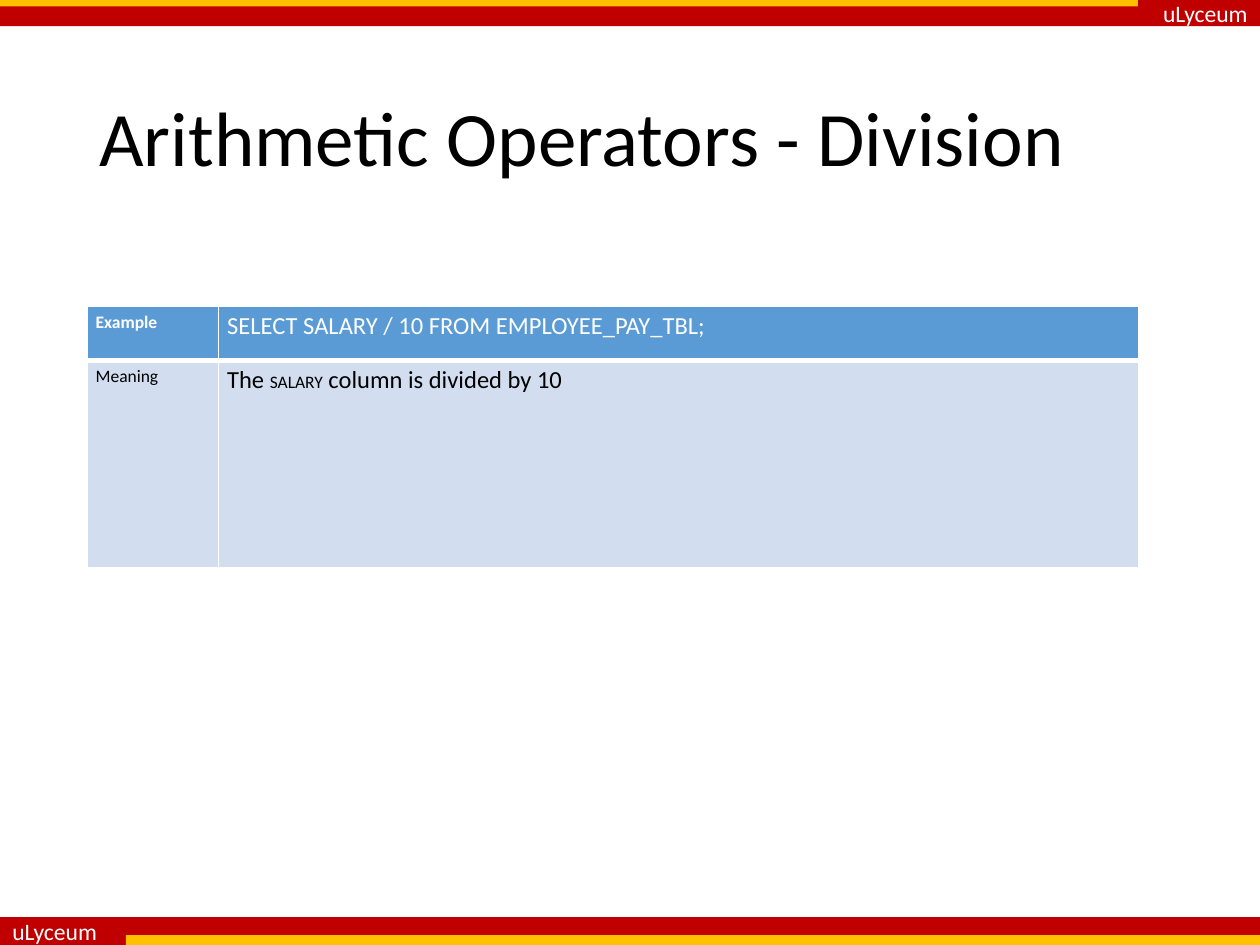
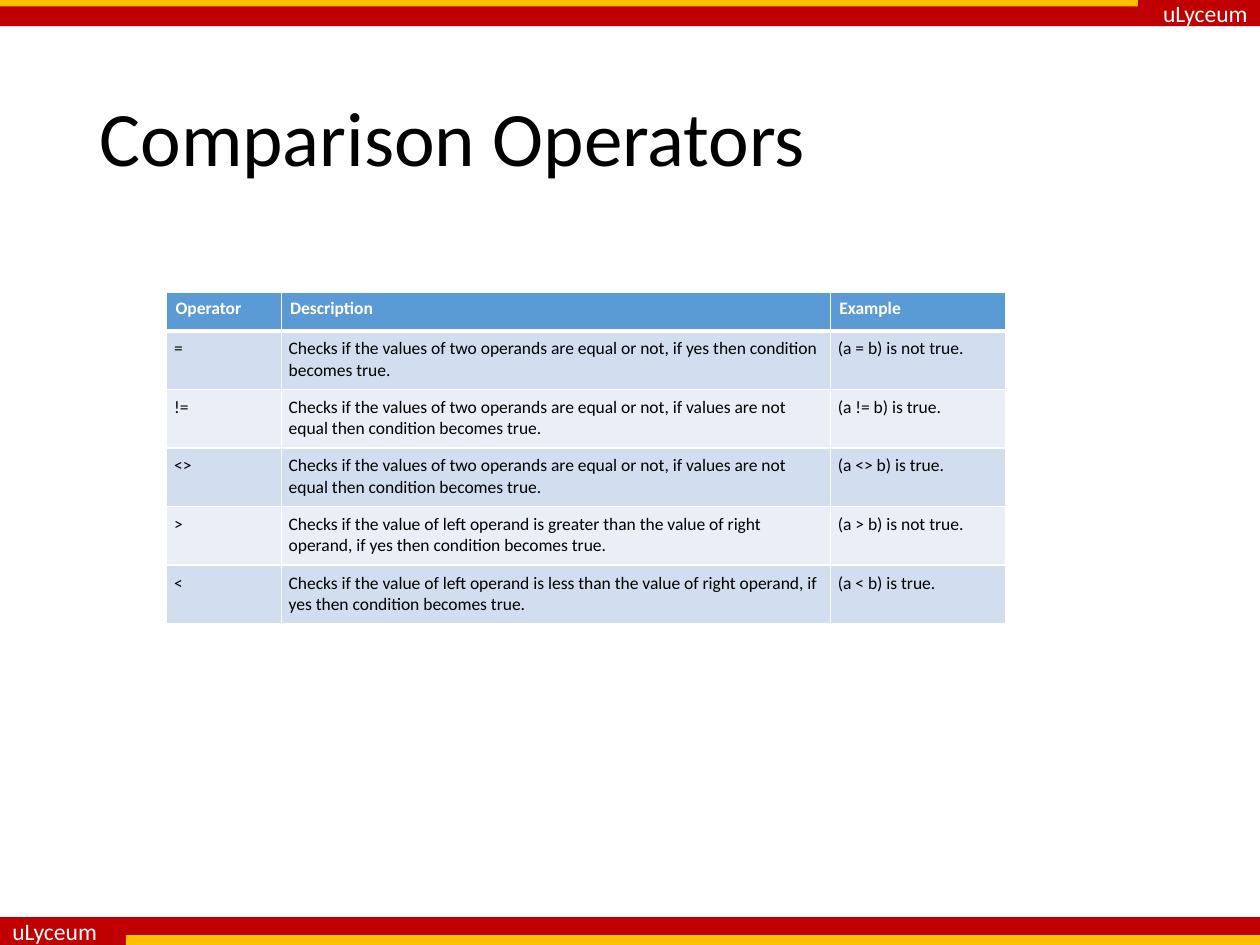
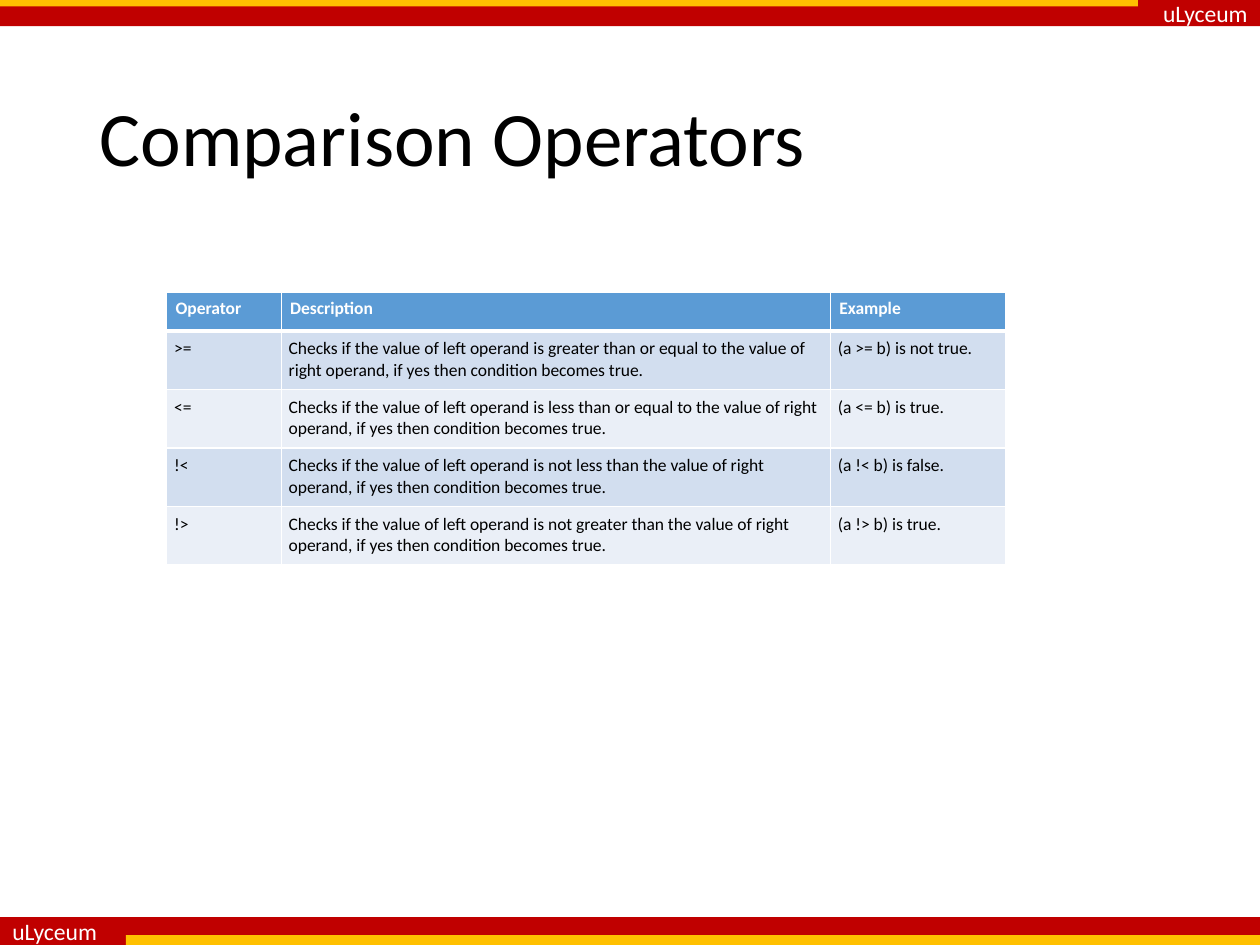
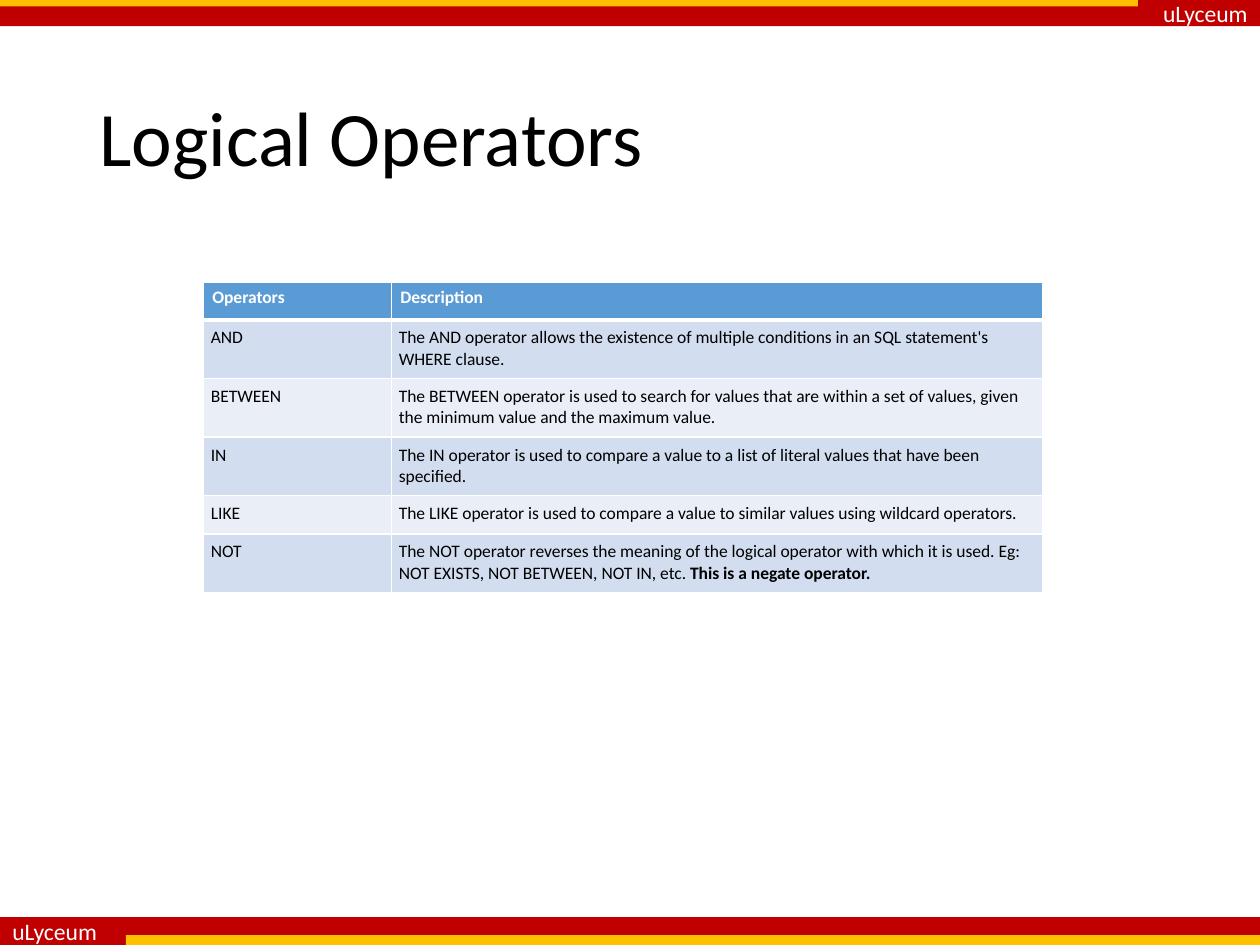
from dataclasses import dataclass

from lxml.etree import SubElement as Sub
from pptx import Presentation
from pptx.dml.color import RGBColor as Rgb
from pptx.enum.shapes import MSO_SHAPE as Shape
from pptx.enum.text import MSO_ANCHOR as Anchor, PP_ALIGN as Align
from pptx.oxml.ns import qn
from pptx.slide import Slide
from pptx.table import _Cell as Cell
from pptx.text.text import _Paragraph as Para
from pptx.util import Cm, Pt

FONT = "Calibri"
BRAND = "uLyceum"
COLORS = {
    "red": "C00000", "gold": "FFC000", "white": "FFFFFF", "black": "000000",
    "head": "5B9BD5", "odd": "D2DEEF", "even": "EAEFF7",
}
WIDE, HIGH = 25.4, 19.05
HEAD, TALL, SHORT = 0.77, 1.18, 0.77


@dataclass
class Band:
    left: float
    top: float
    width: float
    height: float
    color: str
    text: str = ""
    align: Align = Align.LEFT


@dataclass
class Run:
    text: str
    size: float = 10
    bold: bool = False


@dataclass
class Grid:
    left: float
    top: float
    cols: list[float]
    rows: list[float]
    cells: list[list[str | list[Run]]]
    inset: tuple[float, float] = (0.15, 0.15)


@dataclass
class Page:
    title: str
    grid: Grid


BANDS = [
    Band(0, 0, WIDE, 0.53, "red", BRAND, Align.RIGHT),
    Band(0, 18.49, WIDE, 0.56, "red", BRAND),
    Band(0, 0, 22.94, 0.13, "gold"),
    Band(2.54, 18.85, 22.86, 0.2, "gold"),
]

IF_YES = "if yes then condition becomes true."
EQUAL = "Checks if the values of two operands are equal or not,"
UNLIKE = f"{EQUAL} if values are not equal then condition becomes true."


def left_is(test: str) -> str:
    return f"Checks if the value of left operand is {test} the value of right operand, {IF_YES}"


def compare(*rows: list[str]) -> Page:
    """Page with a table of comparison operators."""
    cells = [["Operator", "Description", "Example"], *rows]
    grid = Grid(3.36, 5.9, [2.31, 11.07, 3.53], [HEAD] + [TALL] * len(rows), cells)
    return Page("Comparison Operators", grid)


PAGES = [
    Page("Arithmetic Operators - Division", Grid(
        1.75, 6.18, [2.65, 18.56], [1.09, 4.17],
        [
            ["Example", [Run("SELECT SALARY / 10 FROM EMPLOYEE_PAY_TBL;", 14)]],
            ["Meaning", [Run("The ", 14), Run("SALARY"),
                         Run(" column is divided by 10", 14)]],
        ],
        inset=(0.18, 0.1),
    )),
    compare(
        ["=", f"{EQUAL} {IF_YES}", "(a = b) is not true."],
        ["!=", UNLIKE, "(a != b) is true."],
        ["<>", UNLIKE, "(a <> b) is true."],
        [">", left_is("greater than"), "(a > b) is not true."],
        ["<", left_is("less than"), "(a < b) is true."],
    ),
    compare(
        [">=", left_is("greater than or equal to"), "(a >= b) is not true."],
        ["<=", left_is("less than or equal to"), "(a <= b) is true."],
        ["!<", left_is("not less than"), "(a !< b) is false."],
        ["!>", left_is("not greater than"), "(a !> b) is true."],
    ),
    Page("Logical Operators", Grid(
        4.1, 5.68, [3.79, 13.14], [HEAD, TALL, TALL, TALL, SHORT, TALL],
        [
            ["Operators", "Description"],
            ["AND", "The AND operator allows the existence of multiple conditions "
                    "in an SQL statement's WHERE clause."],
            ["BETWEEN", "The BETWEEN operator is used to search for values that are within "
                        "a set of values, given the minimum value and the maximum value."],
            ["IN", "The IN operator is used to compare a value to a list of "
                   "literal values that have been specified."],
            ["LIKE", "The LIKE operator is used to compare a value to similar values "
                     "using wildcard operators."],
            ["NOT", [Run("The NOT operator reverses the meaning of the logical operator with "
                         "which it is used. Eg: NOT EXISTS, NOT BETWEEN, NOT IN, etc. "),
                     Run("This is a negate operator.", bold=True)]],
        ],
    )),
]


def color(name: str) -> Rgb:
    return Rgb.from_string(COLORS[name])


def style(para: Para, size: float, tint: str, bold: bool = False) -> None:
    font = para.font
    font.name, font.size, font.bold = FONT, Pt(size), bold
    font.color.rgb = color(tint)


def draw_band(slide: Slide, band: Band) -> None:
    """Draw a band and move it to the slide master."""
    shape = slide.shapes.add_shape(
        Shape.RECTANGLE, Cm(band.left), Cm(band.top), Cm(band.width), Cm(band.height))
    shape.shadow.inherit = False
    shape.fill.solid()
    shape.fill.fore_color.rgb = color(band.color)
    shape.line.fill.background()
    if band.text:
        frame = shape.text_frame
        frame.word_wrap = False
        frame.vertical_anchor = Anchor.MIDDLE
        para = frame.paragraphs[0]
        para.text, para.alignment = band.text, band.align
        style(para, 13.5, "white")
    master = slide.slide_layout.slide_master
    master.element.cSld.spTree.append(shape.element)


def draw_title(slide: Slide, text: str) -> None:
    title = slide.shapes.title
    title.left, title.top = Cm(1.75), Cm(1.02)
    title.width, title.height = Cm(21.9), Cm(3.68)
    title.text_frame.vertical_anchor = Anchor.MIDDLE
    para = title.text_frame.paragraphs[0]
    para.text, para.alignment, para.line_spacing = text, Align.LEFT, 0.9
    style(para, 44, "black")


def add_edges(cell: Cell, base: float) -> None:
    """Give a cell white borders, with its own width at the base."""
    props = cell._tc.get_or_add_tcPr()
    for side, width in (("L", 1), ("R", 1), ("T", 1), ("B", base)):
        line = Sub(props, qn(f"a:ln{side}"), w=str(Pt(width)))
        Sub(Sub(line, qn("a:solidFill")), qn("a:srgbClr"), val=COLORS["white"])


def fill_cell(cell: Cell, value: str | list[Run], row: int, inset: tuple[float, float]) -> None:
    head = row == 0
    add_edges(cell, 3 if head else 1)
    cell.fill.solid()
    cell.fill.fore_color.rgb = color("head" if head else "odd" if row % 2 else "even")
    cell.margin_left = cell.margin_right = Cm(inset[0])
    cell.margin_top = cell.margin_bottom = Cm(inset[1])
    runs = [Run(value, bold=head)] if isinstance(value, str) else value
    first, para = runs[0], cell.text_frame.paragraphs[0]
    style(para, first.size, "white" if head else "black", first.bold)
    for item in runs:
        run = para.add_run()
        run.text = item.text
        if item.size != first.size:
            run.font.size = Pt(item.size)
        if item.bold != first.bold:
            run.font.bold = item.bold


def draw_grid(slide: Slide, grid: Grid) -> None:
    table = slide.shapes.add_table(
        len(grid.rows), len(grid.cols), Cm(grid.left), Cm(grid.top),
        Cm(sum(grid.cols)), Cm(sum(grid.rows))).table
    for col, width in zip(table.columns, grid.cols):
        col.width = Cm(width)
    for row, height in zip(table.rows, grid.rows):
        row.height = Cm(height)
    for r, values in enumerate(grid.cells):
        inset = (0.18, 0.1) if r == 0 else grid.inset
        for c, value in enumerate(values):
            fill_cell(table.cell(r, c), value, r, inset)


def main() -> None:
    deck = Presentation()
    deck.slide_width, deck.slide_height = Cm(WIDE), Cm(HIGH)
    slides = [deck.slides.add_slide(deck.slide_layouts[5]) for _ in PAGES]
    for band in BANDS:
        draw_band(slides[0], band)
    for slide, page in zip(slides, PAGES):
        draw_title(slide, page.title)
        draw_grid(slide, page.grid)
    deck.save("out.pptx")


if __name__ == "__main__":
    main()
